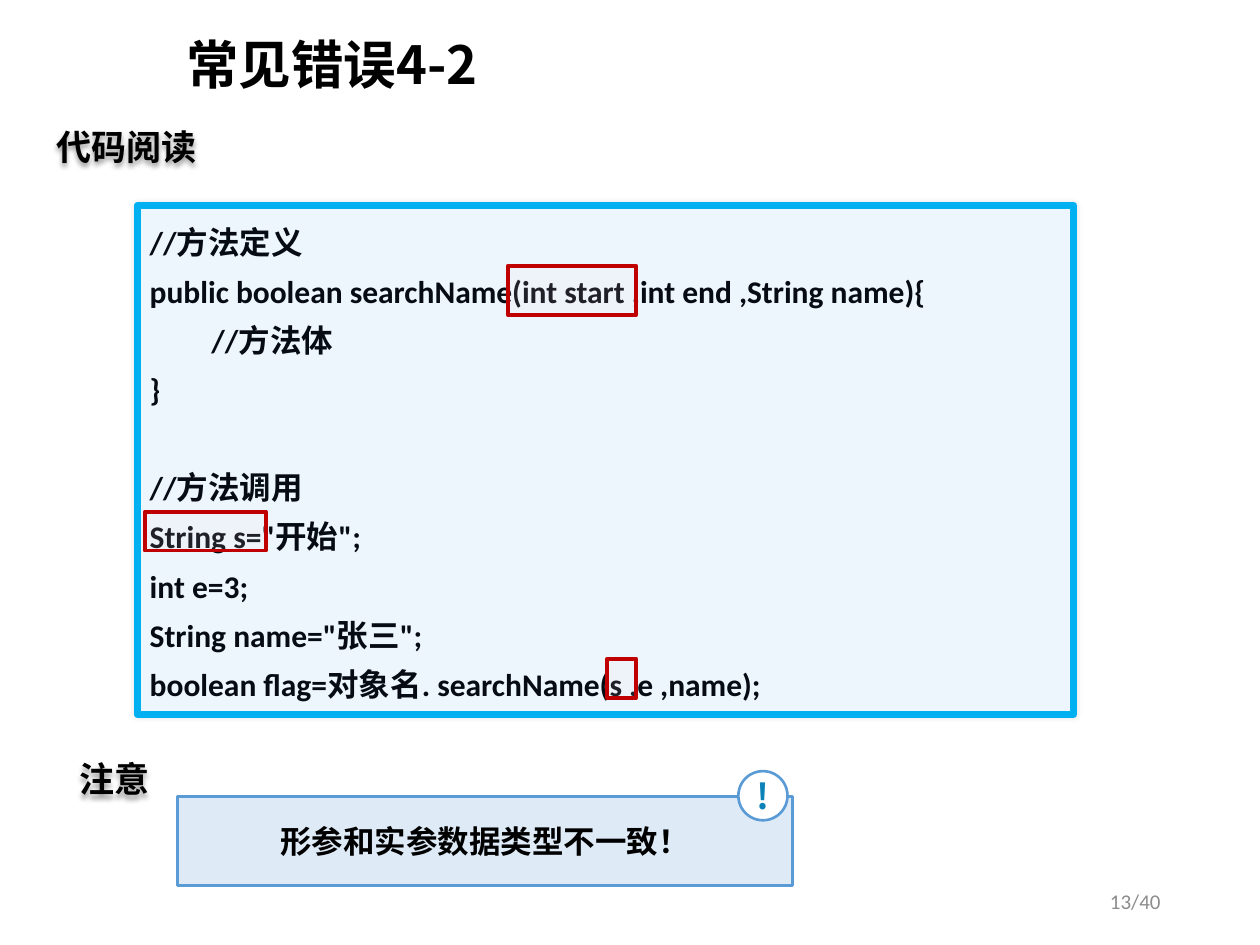
from lxml.etree import SubElement
from pptx import Presentation
from pptx.dml.color import RGBColor
from pptx.enum.shapes import MSO_SHAPE
from pptx.enum.text import MSO_ANCHOR, PP_ALIGN
from pptx.oxml.ns import qn
from pptx.util import Inches, Pt

THEME = {
    "latin": "Calibri", "cjk": "Noto Sans CJK SC",
    "black": "000000", "code": "060B14", "mark": "0C83B8", "muted": "8C8C8C",
    "code_fill": "EDF5FD", "code_line": "00B0F0",
    "highlight_fill": "FFDDDD", "highlight_line": "C00000",
    "note_fill": "DEEBF7", "note_line": "5B9BD5", "white": "FFFFFF",
    "title_size": 30, "heading_size": 20, "body_size": 18, "number_size": 12,
}
TITLE = ("常见错误4-2", (1.38, 0.1, 8.62, 0.87))
HEADINGS = [
    ("代码阅读", (0.35, 0.94, 1.33, 0.44)),
    ("注意", (0.53, 5.96, 0.77, 0.44)),
]
CODE_AREA = (1.09, 1.63, 7.43, 4.04)
CODE_BLOCKS = [
    [
        "//方法定义",
        "public boolean searchName(int start ,int end ,String name){",
        "\t//方法体",
        "}",
    ],
    [
        "//方法调用",
        'String s="开始";',
        "int e=3;",
        'String name="张三";',
        "boolean flag=对象名. searchName(s ,e ,name);",
    ],
]
BLOCK_GAP = 28
HIGHLIGHTS = [
    (4.82, 5.23, 0.23, 0.31),
    (1.15, 4.06, 0.96, 0.31),
    (4.03, 2.11, 1.02, 0.39),
]
NOTE = ("形参和实参数据类型不一致！", (1.41, 6.32, 4.88, 0.71))
BADGE = ("!", (5.86, 6.12, 0.39, 0.39))
PAGE_NUMBER = ("13/40", (7.06, 6.95, 2.25, 0.4))


def color(name):
    return RGBColor.from_string(THEME[name])


def lengths(area):
    return [Inches(value) for value in area]


def style(para, size, ink, latin="cjk", bold=True, align=PP_ALIGN.LEFT):
    para.alignment = align
    font = para.font
    font.size, font.bold, font.name = Pt(THEME[size]), bold, THEME[latin]
    font.color.rgb = color(ink)
    defaults = para._p.pPr.find(qn("a:defRPr"))
    east_asian = SubElement(defaults, qn("a:ea"), typeface=THEME["cjk"])
    defaults.find(qn("a:latin")).addnext(east_asian)


def write(shape, text, *args, **options):
    frame = shape.text_frame
    frame.vertical_anchor = MSO_ANCHOR.MIDDLE
    para = frame.paragraphs[0]
    para.text = text
    style(para, *args, **options)
    return para


def add_box(page, kind, area, fill, line, width):
    box = page.shapes.add_shape(kind, *lengths(area))
    box.shadow.inherit = False
    box.fill.solid()
    box.fill.fore_color.rgb = color(fill)
    box.line.color.rgb = color(line)
    box.line.width = Pt(width)
    if kind == MSO_SHAPE.ROUNDED_RECTANGLE:
        box.adjustments[0] = 0
    return box


def add_shadow(shape, opacity, blur, distance):
    shape.shadow.inherit = False
    effects = shape._element.spPr.find(qn("a:effectLst"))
    shadow = SubElement(effects, qn("a:outerShdw"), blurRad=str(Pt(blur)),
                        dist=str(Pt(distance)), dir="5400000", rotWithShape="0")
    ink = SubElement(shadow, qn("a:srgbClr"), val=THEME["black"])
    SubElement(ink, qn("a:alpha"), val=str(opacity * 1000))


def add_code(page):
    box = add_box(page, MSO_SHAPE.ROUNDED_RECTANGLE, CODE_AREA, "code_fill", "code_line", 4)
    add_shadow(box, 10, 3, 0)
    frame = box.text_frame
    frame.vertical_anchor = MSO_ANCHOR.TOP
    for block_index, block in enumerate(CODE_BLOCKS):
        for line_index, line in enumerate(block):
            first = block_index == line_index == 0
            para = frame.paragraphs[0] if first else frame.add_paragraph()
            para.add_run().text = line
            para.line_spacing = 1.3
            if block_index and not line_index:
                para.space_before = Pt(BLOCK_GAP)
            style(para, "body_size", "code", "latin")
            properties = para._p.pPr
            tabs = SubElement(properties, qn("a:tabLst"))
            SubElement(tabs, qn("a:tab"), pos=str(Inches(0.49)), algn="l")
            properties.find(qn("a:defRPr")).addprevious(tabs)


def add_highlight(page, area):
    box = add_box(page, MSO_SHAPE.RECTANGLE, area, "highlight_fill", "highlight_line", 2.25)
    ink = box._element.spPr.find(qn("a:solidFill")).find(qn("a:srgbClr"))
    SubElement(ink, qn("a:alpha"), val="10000")


def main():
    deck = Presentation()
    deck.slide_width, deck.slide_height = Inches(10), Inches(7.5)
    page = deck.slides.add_slide(deck.slide_layouts[5])

    text, area = TITLE
    title = page.shapes.title
    title.left, title.top, title.width, title.height = lengths(area)
    write(title, text, "title_size", "black").line_spacing = 0.9

    add_code(page)
    for area in HIGHLIGHTS:
        add_highlight(page, area)

    for text, area in HEADINGS:
        heading = page.shapes.add_textbox(*lengths(area))
        heading.text_frame.word_wrap = False
        write(heading, text, "heading_size", "black")
        add_shadow(heading, 40, 3, 2)

    text, area = NOTE
    note = add_box(page, MSO_SHAPE.ROUNDED_RECTANGLE, area, "note_fill", "note_line", 1.5)
    write(note, text, "body_size", "black", align=PP_ALIGN.CENTER)

    text, area = BADGE
    badge = add_box(page, MSO_SHAPE.OVAL, area, "white", "note_line", 1.5)
    frame = badge.text_frame
    frame.margin_left = frame.margin_right = frame.margin_top = frame.margin_bottom = 0
    write(badge, text, "heading_size", "mark", align=PP_ALIGN.CENTER)

    text, area = PAGE_NUMBER
    number = page.shapes.add_textbox(*lengths(area))
    number.text_frame.word_wrap = True
    write(number, text, "number_size", "muted", "latin", bold=False, align=PP_ALIGN.RIGHT)

    deck.save("out.pptx")


if __name__ == "__main__":
    main()
